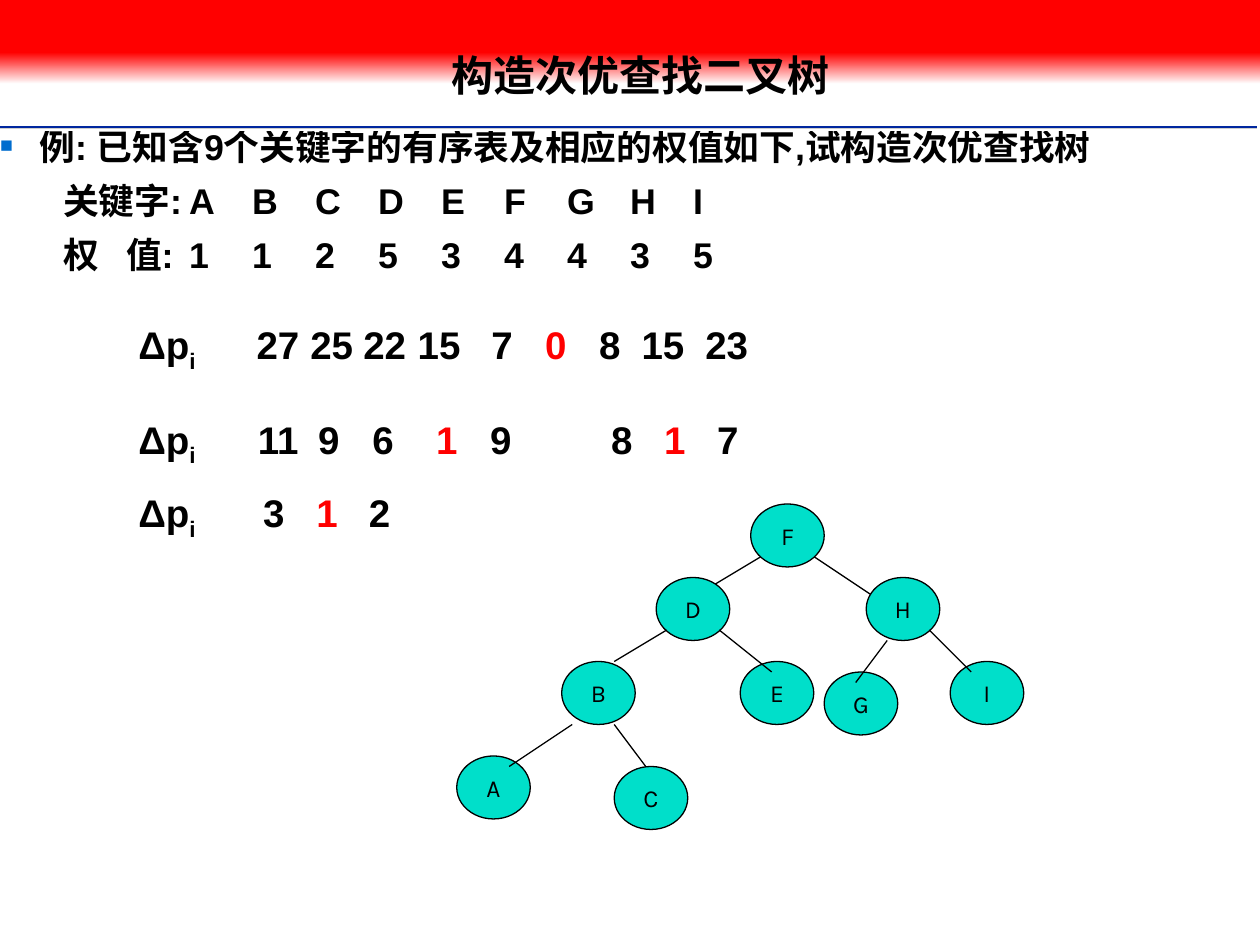
from lxml import etree
from pptx import Presentation
from pptx.dml.color import RGBColor
from pptx.enum import shapes, text
from pptx.oxml import ns
from pptx.util import Pt

# ---- Content (all lengths in points) ----
TITLE = "构造次优查找二叉树"
EXAMPLE = "例: 已知含9个关键字的有序表及相应的权值如下,试构造次优查找树"
# label, left stops of the label's parts, entries, centres of the entries
TABLE_ROWS = [
    ("关键字:", [46], "A B C D E F G H I",
     [143, 174.3, 200, 231.4, 263, 293, 318.3, 345, 372]),
    ("权\t值:", [50.5, 80], "1 1 2 5 3 4 4 3 5",
     [140.6, 169, 197, 225.7, 259.4, 288, 316, 344.6, 372.6]),
]
# box (left, top, width, height), has label, values, index of minimum, centres
DELTA_ROWS = [
    ((72, 180, 378, 37.5), True, "27 25 22 15 7 0 8 15 23", 5,
     [159, 189.7, 220, 251, 287, 317.7, 348.6, 379, 415.4]),
    ((72, 234, 240, 37.5), True, "11 9 6 1 9", 3,
     [159, 188, 219, 255.4, 286.3]),
    ((72, 276, 180, 37.5), True, "3 1 2", 1, [156.6, 187, 217]),
    ((336, 234, 104, 34), False, "8 1 7", 1, [355.4, 385.7, 416]),
]
NODES = {"F": (429, 288), "D": (375, 330), "H": (495, 330),
         "B": (321, 378), "E": (423, 378), "G": (471, 384),
         "I": (543, 378), "A": (261, 432), "C": (351, 438)}
ROOT_EDGES = [(435, 318, 405, 336), (465, 318, 501, 342)]
LOWER_EDGES = [(381, 360, 351, 378), (507, 366, 489, 390),
               (411, 360, 441, 384), (327, 414, 291, 438),
               (351, 414, 369, 438), (531, 360, 555, 384)]
RULES = [(72.75, "CECECE", 2), (72.75, "00279F", 1), (74.25, "FFFFFF", 1)]

THEME = {
    "ink": "000000", "accent": "FF0000", "paper": "FFFFFF",
    "node": "00DFCA", "bullet": "006DCE",
    "font": "Arial", "node_font": "Karla",
    "title": 24, "body": 20.4, "delta": 22, "letter": 14,
}
NODE_SIZE = (42, 36)
INSET = (7.2, 3.6)

deck = Presentation()
deck.slide_width, deck.slide_height = Pt(720), Pt(540)
page = deck.slides.add_slide(deck.slide_layouts[1])


# ---- Helpers ----
def rgb(value):
    return RGBColor.from_string(value)


def write(para, words, size, font=THEME["font"], color=THEME["ink"],
          bold=True, baseline=0):
    span = para.add_run()
    span.text = words
    span.font.size, span.font.name, span.font.bold = Pt(size), font, bold
    span.font.color.rgb = rgb(color)
    if baseline:
        span.font._element.set("baseline", str(baseline * 1000))


def place(box, left, top, width, height):
    box.left, box.top, box.width, box.height = map(
        Pt, (left, top, width, height))


def set_frame(frame, inset=(0, 0), wrap=True, anchor=text.MSO_ANCHOR.TOP,
              fit=text.MSO_AUTO_SIZE.NONE):
    frame.margin_left = frame.margin_right = Pt(inset[0])
    frame.margin_top = frame.margin_bottom = Pt(inset[1])
    frame.auto_size, frame.word_wrap, frame.vertical_anchor = fit, wrap, anchor


def add_child(parent, tag, **attributes):
    child = etree.SubElement(parent, ns.qn(tag))
    for key, value in attributes.items():
        child.set(key, str(value))
    return child


def set_indent(para, left, first):
    props = para._p.get_or_add_pPr()
    props.set("marL", str(Pt(left)))
    props.set("indent", str(Pt(first)))
    return props


def add_tabs(props, stops):
    tabs = add_child(props, "a:tabLst")
    for position, align in stops:
        add_child(tabs, "a:tab", pos=int(Pt(position)), algn=align)


def add_line(x1, y1, x2, y2, color=THEME["ink"], width=0.75):
    line = page.shapes.add_connector(
        shapes.MSO_CONNECTOR.STRAIGHT, *map(Pt, (x1, y1, x2, y2)))
    line.line.color.rgb, line.line.width = rgb(color), Pt(width)
    add_child(line._element.spPr, "a:effectLst")


def add_shape(kind, *area):
    shape = page.shapes.add_shape(kind, *map(Pt, area))
    shape.shadow.inherit = False
    return shape


# ---- Banner and rules under the title ----
for y, color, width in RULES:
    add_line(0, y, 718.5, y, color, width)

fade = add_shape(shapes.MSO_SHAPE.RECTANGLE, 0, 30, 720, 18)
fade.fill.gradient()
fade.fill.gradient_angle = 270
for stop, color, position in zip(fade.fill.gradient_stops,
                                 (THEME["accent"], THEME["paper"]), (0, 1)):
    stop.color.rgb, stop.position = rgb(color), position
band = add_shape(shapes.MSO_SHAPE.RECTANGLE, 0, 0, 720, 30)
band.fill.solid()
band.fill.fore_color.rgb = rgb(THEME["accent"])
for shape in (fade, band):
    shape.line.fill.background()

# ---- Title, brought in front of the banner ----
title = page.shapes.title
place(title, 84, 18, 564, 53)
set_frame(title.text_frame, anchor=text.MSO_ANCHOR.MIDDLE)
para = title.text_frame.paragraphs[0]
para.alignment, para.line_spacing = text.PP_ALIGN.CENTER, 0.9
write(para, TITLE, THEME["title"])
title.element.getparent().append(title.element)

# ---- Example with keys and weights ----
body = page.placeholders[1]
place(body, 0, 77.75, 688, 96)
set_frame(body.text_frame)
para = body.text_frame.paragraphs[0]
props = set_indent(para, 22.5, -22.5)
add_child(add_child(props, "a:buClr"), "a:srgbClr", val=THEME["bullet"])
add_child(props, "a:buSzPct", val=60000)
add_child(props, "a:buFont", typeface=THEME["font"])
add_child(props, "a:buChar", char="■")
write(para, EXAMPLE, THEME["body"])
for label, label_stops, entries, centres in TABLE_ROWS:
    para = body.text_frame.add_paragraph()
    props = set_indent(para, 0, 0)
    add_child(props, "a:buNone")
    add_tabs(props, [(x, "l") for x in label_stops]
             + [(x, "ctr") for x in centres])
    write(para, "\t" + "\t".join([label] + entries.split()), THEME["body"])
for para in body.text_frame.paragraphs:
    para.line_spacing, para.space_before, para.space_after = 0.7, Pt(0), Pt(13.8)

# ---- Tree ----
for edge in ROOT_EDGES:
    add_line(*edge)
for letter, corner in NODES.items():
    node = add_shape(shapes.MSO_SHAPE.OVAL, *corner, *NODE_SIZE)
    node.fill.solid()
    node.fill.fore_color.rgb = rgb(THEME["node"])
    node.line.color.rgb, node.line.width = rgb(THEME["ink"]), Pt(0.75)
    set_frame(node.text_frame, INSET, False, text.MSO_ANCHOR.MIDDLE)
    para = node.text_frame.paragraphs[0]
    para.alignment = text.PP_ALIGN.CENTER
    write(para, letter, THEME["letter"], font=THEME["node_font"], bold=False)
for edge in LOWER_EDGES:
    add_line(*edge)

# ---- Weight differences, minimum in the accent colour ----
for area, labelled, values, minimum, centres in DELTA_ROWS:
    box = page.shapes.add_textbox(*map(Pt, area))
    set_frame(box.text_frame, INSET, fit=text.MSO_AUTO_SIZE.SHAPE_TO_FIT_TEXT)
    para = box.text_frame.paragraphs[0]
    add_tabs(para._p.get_or_add_pPr(),
             [(x - area[0] - INSET[0], "ctr") for x in centres])
    if labelled:
        write(para, "Δp", THEME["delta"])
        write(para, "i", THEME["delta"], baseline=-25)
    for index, value in enumerate(values.split()):
        write(para, "\t" + value, THEME["delta"],
              color=THEME["accent" if index == minimum else "ink"])

deck.save("out.pptx")
